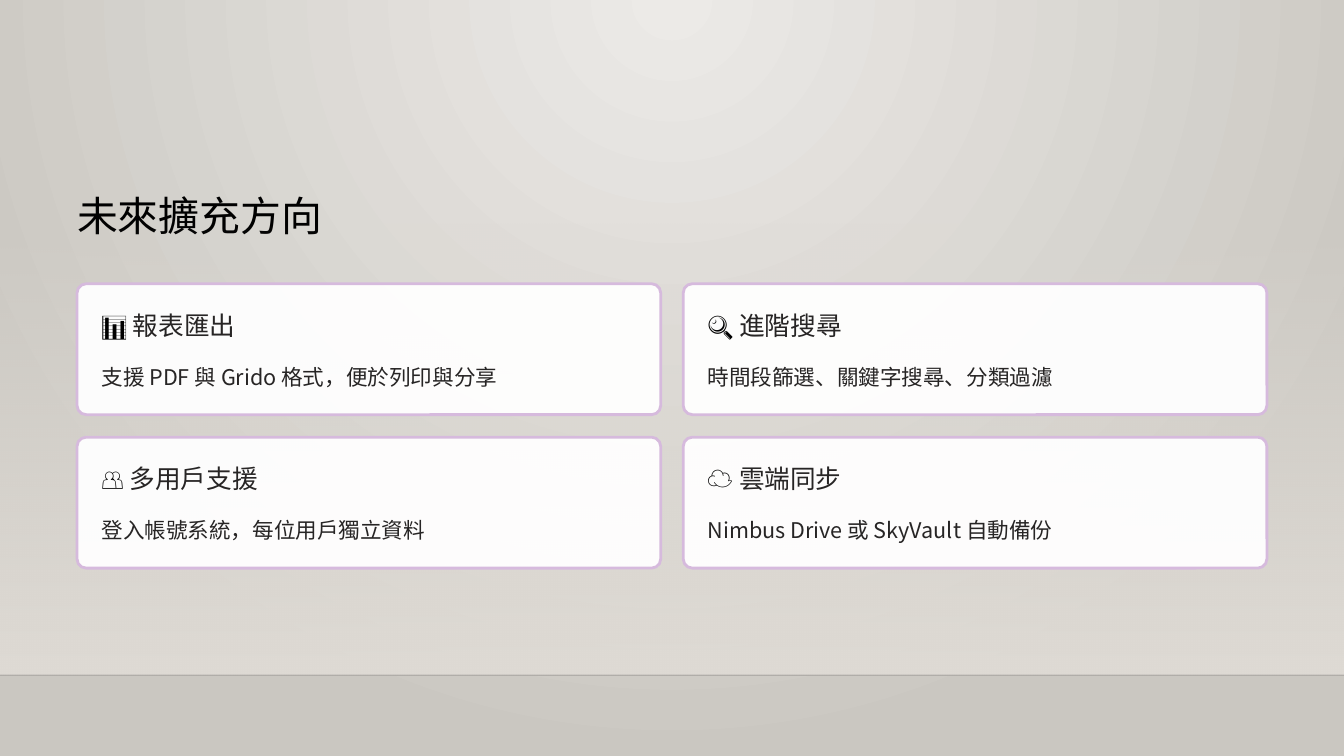
from dataclasses import dataclass

from lxml import etree
from pptx import Presentation
from pptx.dml.color import RGBColor
from pptx.enum.shapes import MSO_CONNECTOR, MSO_SHAPE
from pptx.enum.text import MSO_ANCHOR, MSO_AUTO_SIZE, PP_ALIGN
from pptx.oxml import parse_xml
from pptx.oxml.ns import nsdecls, qn
from pptx.slide import Slide
from pptx.text.text import TextFrame
from pptx.util import Cm, Pt

ROUNDED = MSO_SHAPE.ROUNDED_RECTANGLE
RECTANGLE = MSO_SHAPE.RECTANGLE
STRAIGHT = MSO_CONNECTOR.STRAIGHT
LEFT = PP_ALIGN.LEFT
TOP = MSO_ANCHOR.TOP
NO_AUTOFIT = MSO_AUTO_SIZE.NONE

BLACK = RGBColor(0x00, 0x00, 0x00)
INK = RGBColor(0x27, 0x25, 0x25)
WHITE = RGBColor(0xFF, 0xFF, 0xFF)
LILAC = RGBColor(0xD6, 0xBA, 0xDD)
HORIZON = RGBColor(0x00, 0x00, 0x01)
GLOW = RGBColor(0xEC, 0xEA, 0xE7)
STONE = RGBColor(0xCA, 0xC7, 0xC1)
SAND = RGBColor(0xDF, 0xDB, 0xD5)

SANS = "Noto Sans CJK SC"
SERIF = "Cambria"

PAGE_WIDTH, PAGE_HEIGHT = Cm(40.64), Cm(22.86)
WALL_TOP, FLOOR_TOP = Cm(6.73), Cm(20.42)
GRID_LEFT, GRID_TOP = Cm(2.33), Cm(8.58)
CARD_WIDTH, CARD_HEIGHT = Cm(17.65), Cm(3.96)
STEP_X, STEP_Y = Cm(18.33), Cm(4.64)
PADDING = Cm(0.74)
DETAIL_OFFSET = Cm(2.14)
COLUMNS = 2


@dataclass
class Span:
    text: str
    size: float
    color: RGBColor = INK
    font: str = SANS


@dataclass
class Card:
    icon: str
    heading: str
    detail: str
    icon_font: str = SANS


CARDS = [
    Card("📊", " 報表匯出", "支援 PDF 與 Grido 格式，便於列印與分享"),
    Card("🔍 ", "進階搜尋", "時間段篩選、關鍵字搜尋、分類過濾", SERIF),
    Card("👥", " 多用戶支援", "登入帳號系統，每位用戶獨立資料"),
    Card("☁️", " 雲端同步", "Nimbus Drive 或 SkyVault 自動備份"),
]


def set_alpha(properties: etree.ElementBase, percent: int) -> None:
    """Make the first solid colour below properties partly transparent."""
    color = properties.find(f".//{qn('a:solidFill')}/{qn('a:srgbClr')}")
    etree.SubElement(color, qn("a:alpha"), val=str(percent * 1000))


def set_gradient(properties: etree.ElementBase, start: RGBColor, start_alpha: int,
                 end: RGBColor, direction: str) -> None:
    """Swap the solid fill of properties for a two-stop gradient."""
    gradient = parse_xml(
        f'<a:gradFill {nsdecls("a")} rotWithShape="1"><a:gsLst>'
        f'<a:gs pos="0"><a:srgbClr val="{start}"><a:alpha val="{start_alpha * 1000}"/>'
        f'</a:srgbClr></a:gs><a:gs pos="100000"><a:srgbClr val="{end}"/></a:gs>'
        f'</a:gsLst>{direction}</a:gradFill>')
    properties.replace(properties.find(qn("a:solidFill")), gradient)


def write_line(frame: TextFrame, spans: list[Span], spacing: float) -> None:
    frame.margin_left = frame.margin_top = frame.margin_right = frame.margin_bottom = 0
    frame.word_wrap = False
    frame.auto_size = NO_AUTOFIT
    frame.vertical_anchor = TOP
    para = frame.paragraphs[0]
    para.alignment = LEFT
    para.space_before = Pt(0)
    para.line_spacing = Pt(spacing)
    for span in spans:
        run = para.add_run()
        run.text = span.text
        run.font.size = Pt(span.size)
        run.font.name = span.font
        run.font.color.rgb = span.color
        etree.SubElement(run.font._element, qn("a:ea"), typeface=span.font)


def draw_backdrop(page: Slide) -> None:
    page.background.fill.solid()
    set_gradient(page.element.find(f".//{qn('p:bgPr')}"), GLOW, 100, STONE,
                 '<a:path path="circle"><a:fillToRect l="43000" r="43000" b="100000"/>'
                 '</a:path>')

    wall = page.shapes.add_shape(RECTANGLE, 0, WALL_TOP, PAGE_WIDTH, FLOOR_TOP - WALL_TOP)
    wall.shadow.inherit = False
    wall.line.fill.background()
    wall.fill.solid()
    set_gradient(wall.element.spPr, SAND, 0, SAND, '<a:lin ang="5400000" scaled="0"/>')

    edge = page.shapes.add_connector(STRAIGHT, 0, FLOOR_TOP, PAGE_WIDTH, FLOOR_TOP)
    edge.line.width = Pt(1)
    edge.line.color.rgb = HORIZON
    set_alpha(edge.element.spPr, 20)
    etree.SubElement(edge.element.spPr, qn("a:effectLst"))


def draw_title(page: Slide) -> None:
    title = page.shapes.title
    title.left, title.top = GRID_LEFT, Cm(5.69)
    title.width, title.height = Cm(12.52), Cm(1.57)
    write_line(title.text_frame, [Span("未來擴充方向", 35, BLACK)], 44)


def draw_card(page: Slide, card: Card, left: int, top: int) -> None:
    panel = page.shapes.add_shape(ROUNDED, left, top, CARD_WIDTH, CARD_HEIGHT)
    panel.adjustments[0] = 0.07
    panel.shadow.inherit = False
    panel.fill.solid()
    panel.fill.fore_color.rgb = WHITE
    set_alpha(panel.element.spPr, 95)
    panel.line.color.rgb = LILAC
    panel.line.width = Pt(2.4)

    text_left = left + PADDING
    heading = page.shapes.add_textbox(text_left, top + PADDING, Cm(7.82), Cm(0.99))
    write_line(heading.text_frame,
               [Span(card.icon, 22, BLACK, card.icon_font), Span(card.heading, 22)], 27.5)
    detail = page.shapes.add_textbox(text_left, top + DETAIL_OFFSET, Cm(16.15), Cm(1.07))
    write_line(detail.text_frame, [Span(card.detail, 18.5)], 30)


def main() -> None:
    deck = Presentation()
    deck.slide_width, deck.slide_height = PAGE_WIDTH, PAGE_HEIGHT
    page = deck.slides.add_slide(deck.slide_layouts.get_by_name("Title Only"))
    draw_backdrop(page)
    draw_title(page)
    for index, card in enumerate(CARDS):
        row, column = divmod(index, COLUMNS)
        draw_card(page, card, GRID_LEFT + column * STEP_X, GRID_TOP + row * STEP_Y)
    deck.save("out.pptx")


if __name__ == "__main__":
    main()
